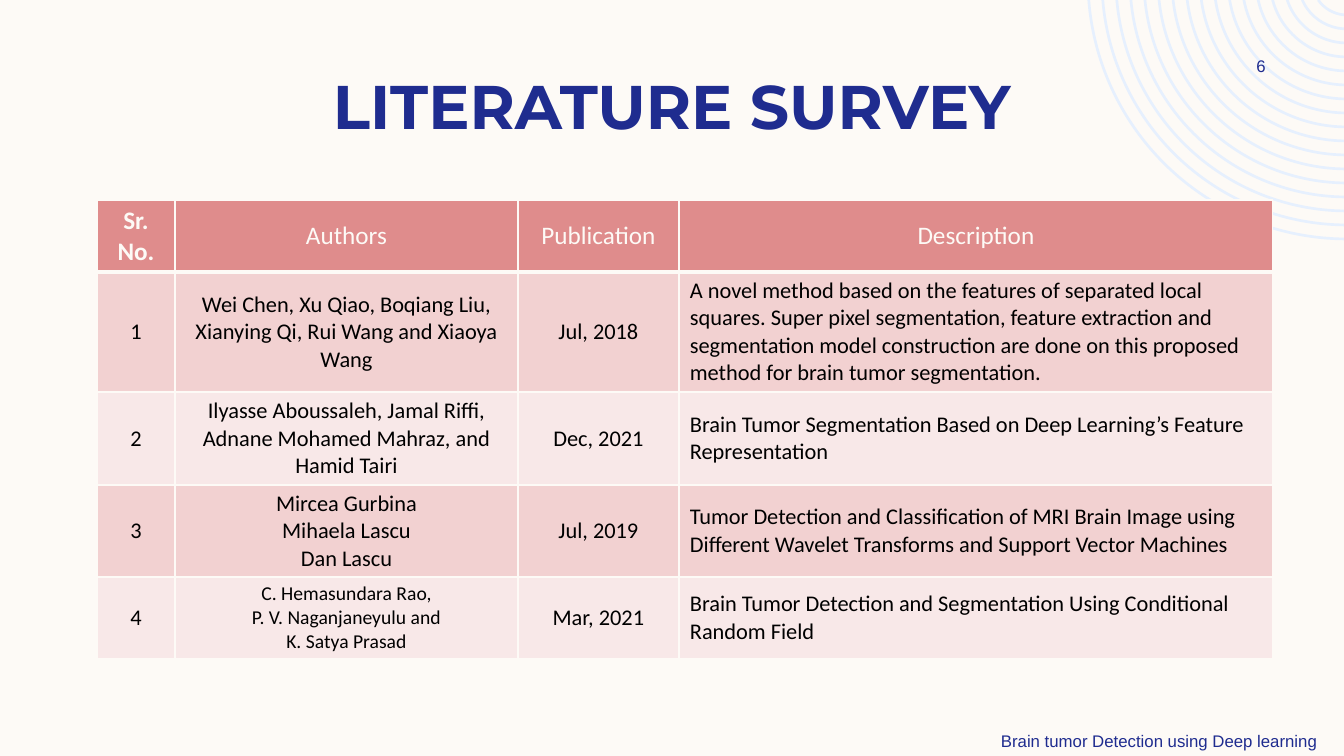
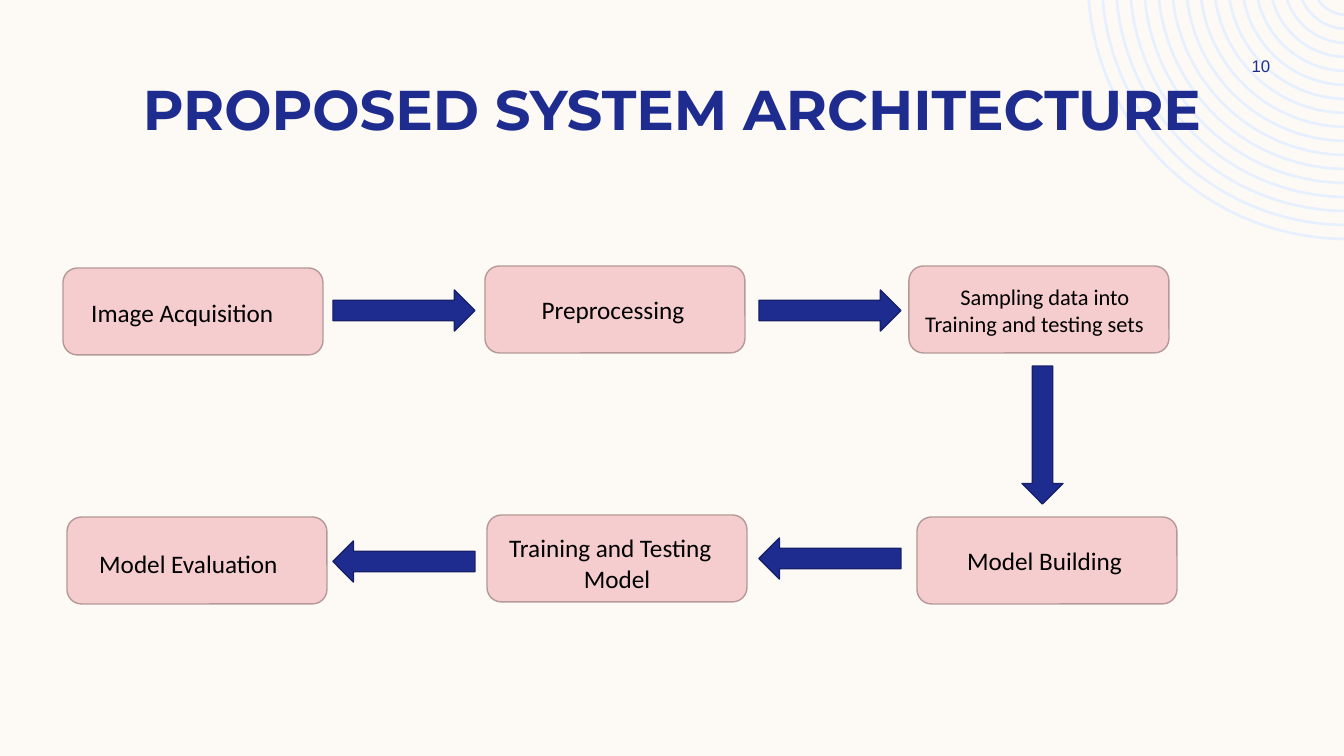
from math import acos, asin, cos, degrees, pi, sin

from pptx import Presentation
from pptx.dml.color import RGBColor
from pptx.enum.shapes import MSO_SHAPE
from pptx.enum.text import MSO_ANCHOR, PP_ALIGN
from pptx.oxml.ns import qn
from pptx.util import Pt
from lxml.etree import SubElement

SLIDE_W, SLIDE_H = 1344, 756
EMU_PER_PX = 12192000 / SLIDE_W

CREAM = RGBColor(0xFD, 0xFA, 0xF6)
NAVY = RGBColor(0x1F, 0x2C, 0x8F)
DARK_NAVY = RGBColor(0x17, 0x21, 0x6A)
PALE_BLUE = RGBColor(0xE6, 0xF0, 0xFE)
ROSE = RGBColor(0xDF, 0x8C, 0x8C)
ROW_FILLS = (RGBColor(0xF2, 0xD1, 0xD1), RGBColor(0xF8, 0xE8, 0xE8))
PINK = RGBColor(0xF5, 0xCD, 0xCE)
DUSTY_PINK = RGBColor(0xB5, 0x98, 0x98)
BLACK = RGBColor(0, 0, 0)

LEFT, CENTER = PP_ALIGN.LEFT, PP_ALIGN.CENTER

RING_CENTER = (1347, -20)
RING_RADII = range(35, 260, 14)

COLUMN_WIDTHS = (78, 343, 161, 594)
ROW_HEIGHTS = (72, 120, 93, 92, 82)
HEADINGS = ("Sr. No.", "Authors", "Publication", "Description")
# authors, author text size, publication, description
PAPERS = (
    (["Wei Chen, Xu Qiao, Boqiang Liu, Xianying Qi, Rui Wang and Xiaoya Wang"], 16, "Jul, 2018",
     "A novel method based on the features of separated local squares. Super pixel "
     "segmentation, feature extraction and segmentation model construction are done on "
     "this proposed method for brain tumor segmentation."),
    (["Ilyasse Aboussaleh, Jamal Riffi, Adnane Mohamed Mahraz, and Hamid Tairi"], 16, "Dec, 2021",
     "Brain Tumor Segmentation Based on Deep Learning’s Feature Representation"),
    (["Mircea Gurbina", "Mihaela Lascu", "Dan Lascu"], 16, "Jul, 2019",
     "Tumor Detection and Classification of MRI Brain Image using Different Wavelet "
     "Transforms and Support Vector Machines"),
    (["C. Hemasundara Rao,", "P. V. Naganjaneyulu and", "K. Satya Prasad"], 14, "Mar, 2021",
     "Brain Tumor Detection and Segmentation Using Conditional Random Field"),
)

STAGE_W, STAGE_H = 260, 87
# left, top, (left, top, right) insets, text size, (line, alignment) pairs
STAGES = (
    (63, 268, (24, 2, 0), 18, [("Image Acquisition", LEFT)]),
    (485, 266, (0, 0, 4), 18, [("Preprocessing", CENTER)]),
    (909, 266, (12, 2, 0), 16, [("Sampling data into", CENTER), ("Training and testing sets", LEFT)]),
    (917, 517, (46, 0, 0), 18, [("Model Building", LEFT)]),
    (487, 515, (18, 9, 18), 18, [("Training and Testing", LEFT), ("Model", CENTER)]),
    (67, 517, (28, 5, 0), 18, [("Model Evaluation", LEFT)]),
)
ARROW_LENGTH, ARROW_WIDTH = 142, 41
ARROWS = (
    (MSO_SHAPE.RIGHT_ARROW, 333, 290),
    (MSO_SHAPE.RIGHT_ARROW, 759, 290),
    (MSO_SHAPE.DOWN_ARROW, 1022, 366),
    (MSO_SHAPE.LEFT_ARROW, 759, 538),
    (MSO_SHAPE.LEFT_ARROW, 333, 541),
)


def px(n):
    return round(n * EMU_PER_PX)


def box(left, top, width, height):
    return px(left), px(top), px(width), px(height)


def write_lines(tf, lines, size, color, font="Calibri", bold=False):
    """Fill a text frame with (text, alignment) pairs, one paragraph each."""
    for i, (text, align) in enumerate(lines):
        p = tf.add_paragraph() if i else tf.paragraphs[0]
        p.alignment = align
        r = p.add_run()
        r.text = text
        r.font.name = font
        r.font.size = Pt(size)
        r.font.bold = bold
        r.font.color.rgb = color


def add_text(slide, bounds, text, size, font, align=CENTER, bold=False):
    tf = slide.shapes.add_textbox(*box(*bounds)).text_frame
    tf.word_wrap = True
    tf.vertical_anchor = MSO_ANCHOR.MIDDLE
    write_lines(tf, [(text, align)], size, NAVY, font, bold)


def add_preset(slide, kind, bounds, fill, line):
    sp = slide.shapes.add_shape(kind, *box(*bounds))
    sp.shadow.inherit = False
    sp.fill.solid()
    sp.fill.fore_color.rgb = fill
    sp.line.color.rgb = line
    sp.line.width = Pt(1)
    return sp


def ring_angles(radius):
    """Angles where a ring meets the slide's top edge and its right edge."""
    cx, cy = RING_CENTER
    return pi - asin(-cy / radius), acos((SLIDE_W - cx) / radius)


def ring_point(radius, angle):
    cx, cy = RING_CENTER
    return px(cx + radius * cos(angle)), px(cy + radius * sin(angle))


def bend_to_arc(segment, radius):
    """Turn a straight freeform segment into the arc of a ring."""
    start, end = ring_angles(radius)
    segment.clear()
    segment.tag = qn("a:arcTo")
    segment.set("wR", str(px(radius)))
    segment.set("hR", str(px(radius)))
    segment.set("stAng", str(round(degrees(start) * 60000)))
    segment.set("swAng", str(round(degrees(end - start) * 60000)))


def add_rings(slide):
    builder = slide.shapes.build_freeform(*ring_point(RING_RADII[0], ring_angles(RING_RADII[0])[0]))
    for radius in RING_RADII:
        start, end = (ring_point(radius, angle) for angle in ring_angles(radius))
        if radius != RING_RADII[0]:
            builder.move_to(*start)
        builder.add_line_segments([end], close=False)
    sp = builder.convert_to_shape()
    for segment, radius in zip(list(sp._element.iter(qn("a:lnTo"))), RING_RADII):
        bend_to_arc(segment, radius)
    sp.shadow.inherit = False
    sp.fill.background()
    sp.line.color.rgb = PALE_BLUE
    sp.line.width = Pt(1.9)


def add_base_slide(prs, title, title_top, title_size, number):
    slide = prs.slides.add_slide(prs.slide_layouts[6])
    add_rings(slide)
    add_text(slide, (84, title_top, 1176, 84), title, title_size, "Montserrat", bold=True)
    add_text(slide, (1207, 50, 108, 31), number, 12, "Arial")
    return slide


def set_borders(cell, bottom):
    tc_pr = cell._tc.get_or_add_tcPr()
    for side, width in (("L", 1), ("R", 1), ("T", 1), ("B", bottom)):
        ln = SubElement(tc_pr, qn(f"a:ln{side}"), w=str(Pt(width)))
        fill = SubElement(ln, qn("a:solidFill"))
        SubElement(fill, qn("a:srgbClr"), val=str(CREAM))


def fill_cell(cell, lines, size, fill, color=BLACK, bold=False, bottom=1):
    set_borders(cell, bottom)
    cell.fill.solid()
    cell.fill.fore_color.rgb = fill
    cell.vertical_anchor = MSO_ANCHOR.MIDDLE
    cell.margin_left = cell.margin_right = px(11)
    cell.margin_top = cell.margin_bottom = px(5)
    write_lines(cell.text_frame, lines, size, color, bold=bold)


def add_survey_table(slide):
    bounds = box(97, 200, sum(COLUMN_WIDTHS), sum(ROW_HEIGHTS))
    table = slide.shapes.add_table(len(ROW_HEIGHTS), len(COLUMN_WIDTHS), *bounds).table
    table.horz_banding = False
    for column, width in zip(table.columns, COLUMN_WIDTHS):
        column.width = px(width)
    for row, height in zip(table.rows, ROW_HEIGHTS):
        row.height = px(height)
    for c, heading in enumerate(HEADINGS):
        fill_cell(table.cell(0, c), [(heading, CENTER)], 18, ROSE, CREAM, bold=c == 0, bottom=3)
    for n, (authors, author_size, published, description) in enumerate(PAPERS, 1):
        cells = (
            ([(str(n), CENTER)], 16),
            ([(author, CENTER) for author in authors], author_size),
            ([(published, CENTER)], 16),
            ([(description, LEFT)], 16),
        )
        for c, (lines, size) in enumerate(cells):
            fill_cell(table.cell(n, c), lines, size, ROW_FILLS[(n - 1) % 2])


def add_stage(slide, left, top, insets, size, lines):
    bounds = (left, top, STAGE_W, STAGE_H)
    sp = add_preset(slide, MSO_SHAPE.ROUNDED_RECTANGLE, bounds, PINK, DUSTY_PINK)
    tf = sp.text_frame
    tf.word_wrap = True
    tf.vertical_anchor = MSO_ANCHOR.MIDDLE
    tf.margin_left, tf.margin_top, tf.margin_right = map(px, insets)
    tf.margin_bottom = 0
    write_lines(tf, lines, size, BLACK)


def add_arrow(slide, kind, left, top):
    size = (ARROW_LENGTH, ARROW_WIDTH)
    if kind == MSO_SHAPE.DOWN_ARROW:
        size = (ARROW_WIDTH, 138)
    add_preset(slide, kind, (left, top, *size), NAVY, DARK_NAVY)


def add_survey_slide(prs):
    slide = add_base_slide(prs, "LITERATURE SURVEY", 63, 44, "6")
    add_survey_table(slide)
    add_text(slide, (991, 726, 353, 30), "Brain tumor Detection using Deep learning", 12, "Arial", LEFT)


def add_architecture_slide(prs):
    slide = add_base_slide(prs, "PROPOSED SYSTEM ARCHITECTURE", 66, 40, "10")
    for stage in STAGES:
        add_stage(slide, *stage)
    for arrow in ARROWS:
        add_arrow(slide, *arrow)


def main():
    prs = Presentation()
    prs.slide_width, prs.slide_height = px(SLIDE_W), px(SLIDE_H)
    background = prs.slide_master.background.fill
    background.solid()
    background.fore_color.rgb = CREAM
    add_survey_slide(prs)
    add_architecture_slide(prs)
    prs.save("out.pptx")


if __name__ == "__main__":
    main()
